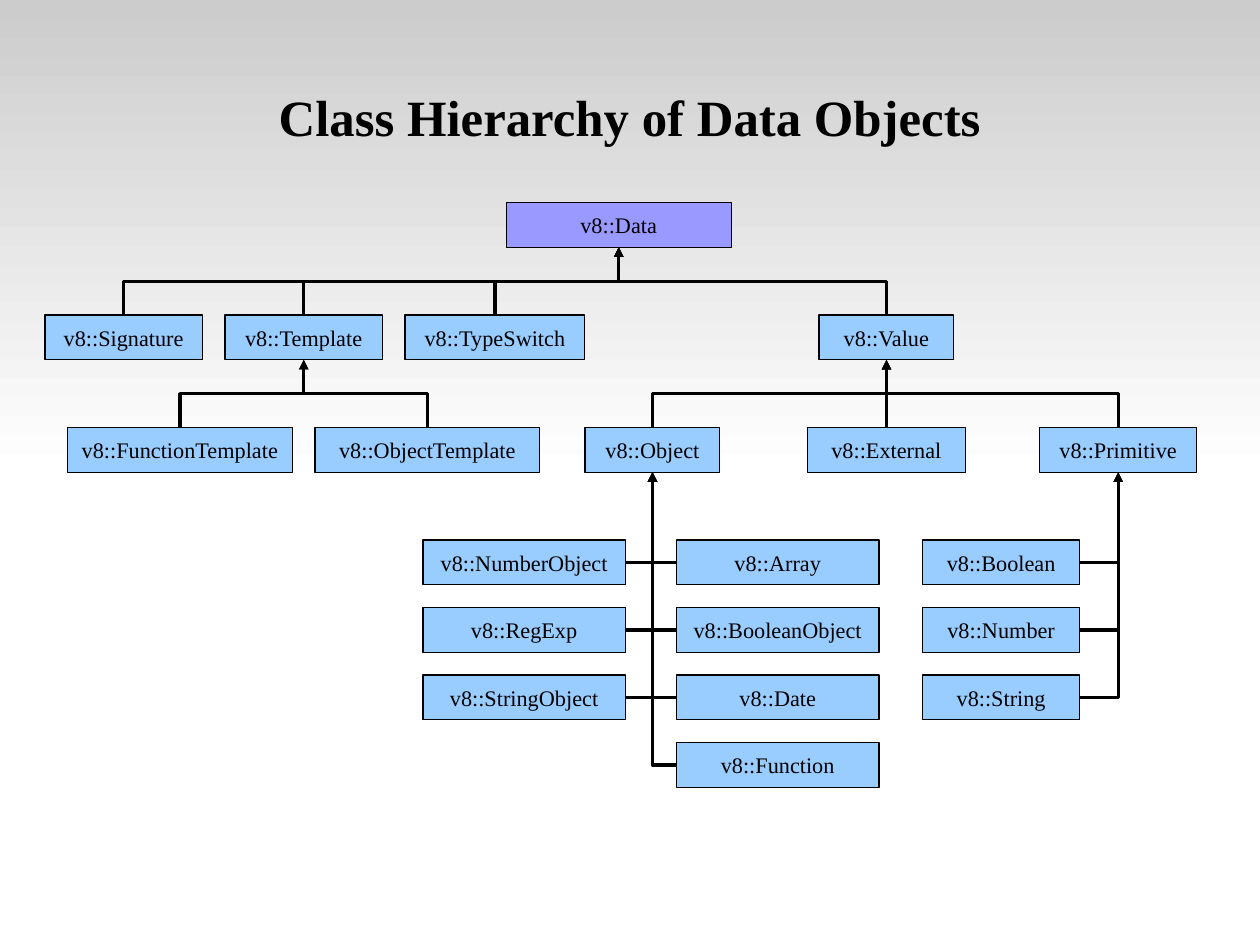
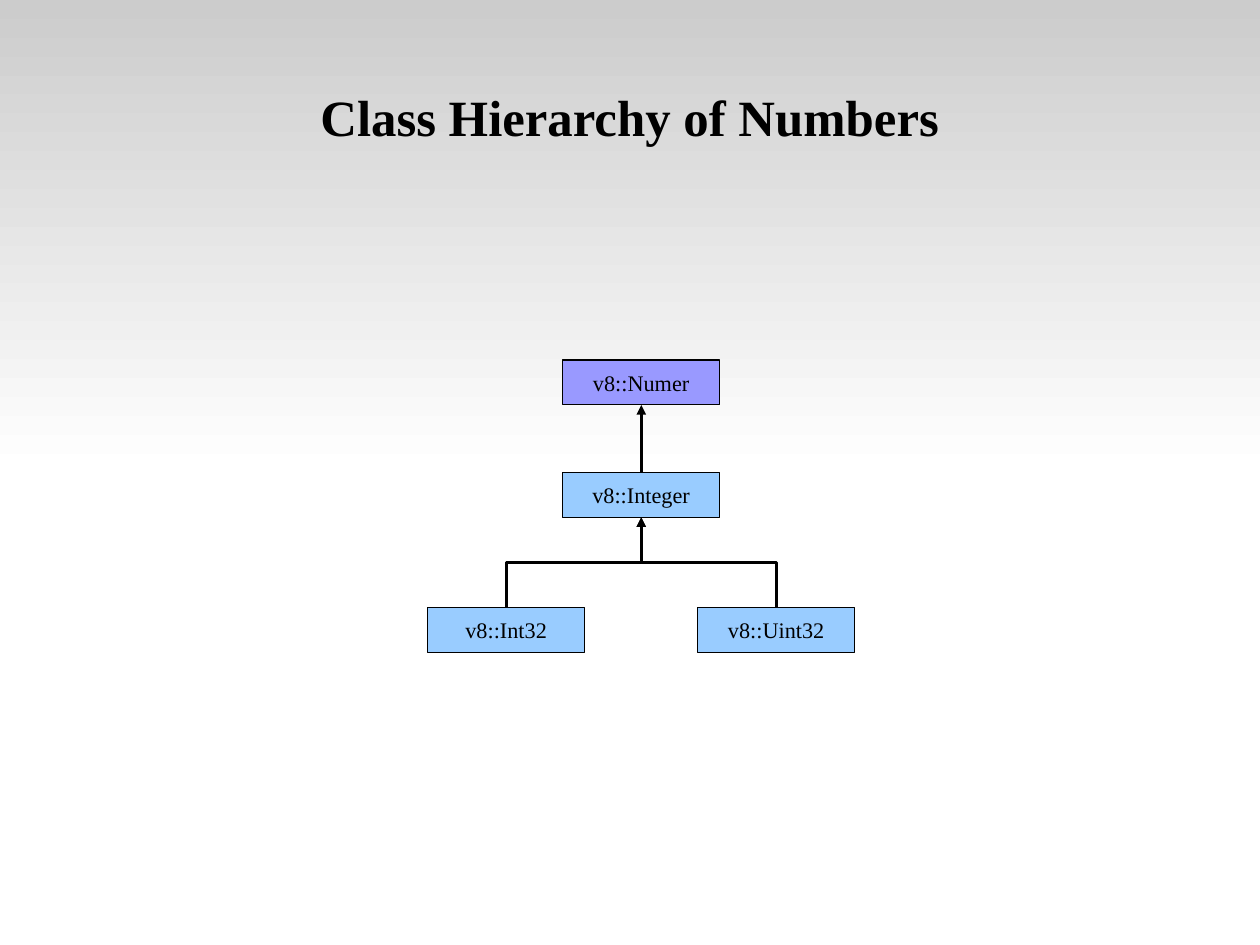
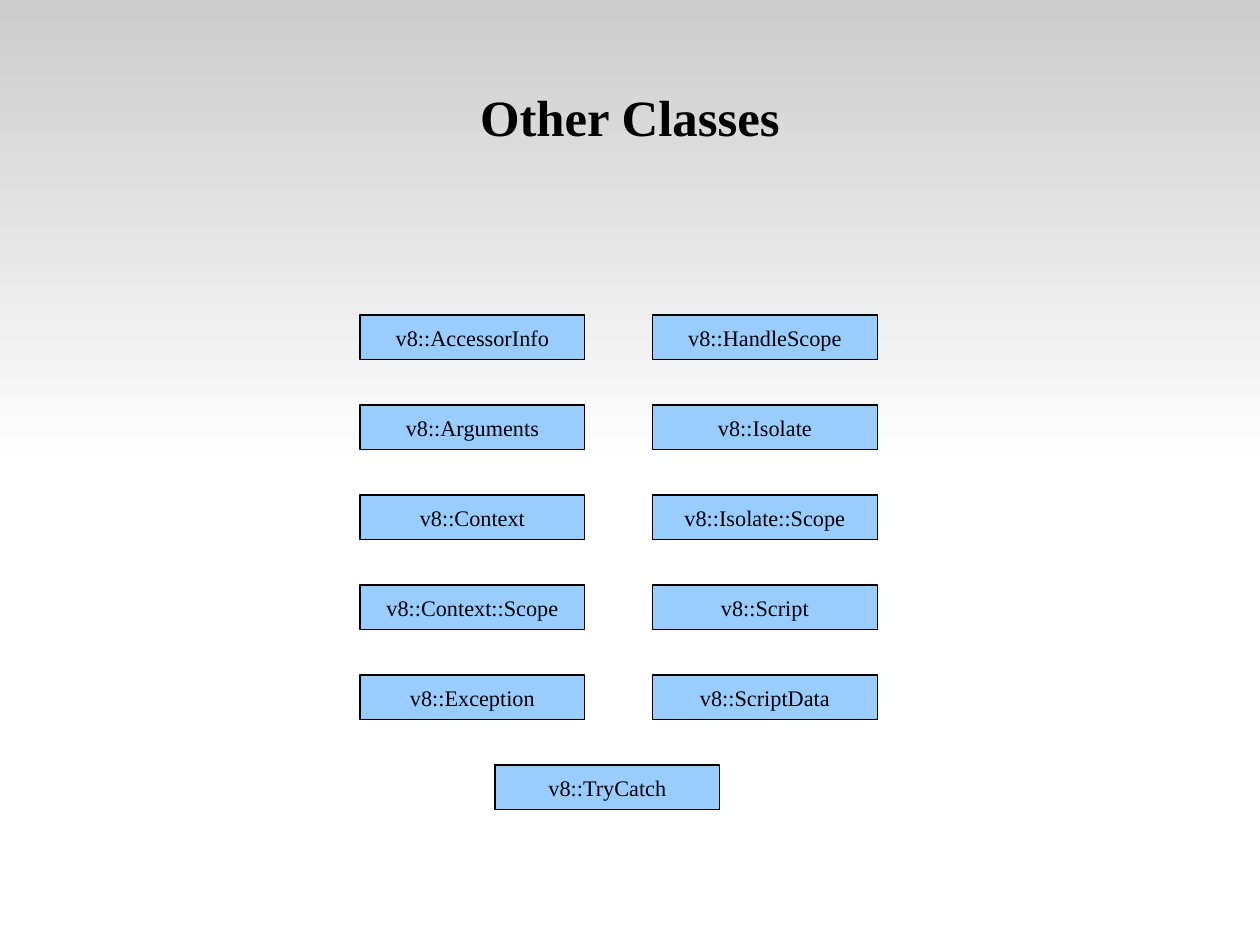
from pptx import Presentation
from pptx.dml.color import RGBColor
from pptx.enum.shapes import MSO_CONNECTOR as Wire, MSO_SHAPE as Form
from pptx.enum.text import MSO_ANCHOR as Anchor, MSO_AUTO_SIZE as Fit, PP_ALIGN as Align
from pptx.oxml.ns import qn
from pptx.util import Cm, Pt
from lxml.etree import SubElement

COLS, ROWS = 56, 42
TOP, LEFT, BASE, RIGHT = range(4)


def grid(count):
    """Turn grid steps of half a centimetre into a length."""
    return Cm(count * 0.5)


def ink(code):
    """Turn a hex string into a colour."""
    return RGBColor.from_string(code)


class Deck:
    """Hold the shared style and the current slide."""

    FONT = "Times New Roman"
    BLACK, BLUE, VIOLET = "000000", "99CCFF", "9999FF"
    FADE = "CCCCCC", "FFFFFF"

    def __init__(self):
        """Open a deck of the right size."""
        self.deck = Presentation()
        self.deck.slide_width, self.deck.slide_height = grid(COLS), grid(ROWS)
        self.slide = None

    def page(self, title):
        """Start a slide with its title."""
        first = self.slide is None
        self.slide = self.deck.slides.add_slide(self.deck.slide_layouts[5])
        if first:
            self.band()
        head = self.slide.shapes.title
        wide, high = self.deck.slide_width, self.deck.slide_height
        head.left, head.top = int(wide * 0.05), int(high * 0.04)
        head.width, head.height = int(wide * 0.9), grid(7)
        frame = head.text_frame
        frame.margin_left = frame.margin_right = 0
        frame.margin_top = frame.margin_bottom = 0
        self.label(frame, title, 32, True)

    def band(self):
        """Put the fading upper half on the master."""
        half = self.slide.shapes.add_shape(Form.RECTANGLE, 0, 0, grid(COLS), grid(ROWS / 2))
        half.shadow.inherit = False
        half.line.fill.background()
        half.fill.gradient()
        half.fill.gradient_angle = 270
        for stop, code in zip(half.fill.gradient_stops, self.FADE):
            stop.color.rgb = ink(code)
        self.deck.slide_master.shapes.element.insert(2, half.element)

    def label(self, frame, text, size, bold=False):
        """Set centred text in a frame."""
        frame.text = text
        frame.word_wrap = True
        frame.auto_size = Fit.NONE
        frame.vertical_anchor = Anchor.MIDDLE
        line = frame.paragraphs[0]
        line.alignment = Align.CENTER
        font = line.runs[0].font
        font.name, font.size, font.bold = self.FONT, Pt(size), bold
        font.color.rgb = ink(self.BLACK)

    def box(self, name, col, row, wide, fill=BLUE):
        """Draw a class box."""
        box = self.slide.shapes.add_shape(
            Form.RECTANGLE, grid(col), grid(row), grid(wide), grid(2))
        box.shadow.inherit = False
        box.fill.solid()
        box.fill.fore_color.rgb = ink(fill)
        box.line.color.rgb = ink(self.BLACK)
        box.line.width = 0
        self.label(box.text_frame, "v8::" + name, 14)
        return box

    def stack(self, names, col, row, wide, step):
        """Draw boxes one below another."""
        return [self.box(name, col, row + step * i, wide) for i, name in enumerate(names)]

    def link(self, kind, child, side, base):
        """Draw an arrow from a side of a child to the foot of its base."""
        wire = self.slide.shapes.add_connector(kind, 0, 0, 0, 0)
        wire.begin_connect(child, side)
        wire.end_connect(base, BASE)
        wire.line.color.rgb = ink(self.BLACK)
        wire.line.width = 0
        props = wire.element.spPr
        SubElement(props.find(qn("a:ln")), qn("a:tailEnd"), type="triangle")
        SubElement(props, qn("a:effectLst"))
        return wire

    def tree(self, base, *kids):
        """Link children in a row below their base."""
        for kid in kids:
            gap = base.left + base.width // 2 - kid.left - kid.width // 2
            if abs(gap) < Pt(1):
                self.link(Wire.STRAIGHT, kid, TOP, base)
                continue
            wire = self.link(Wire.ELBOW, kid, TOP, base)
            wide, high = wire.width, wire.height
            wire.left += (wide - high) // 2
            wire.top += (high - wide) // 2
            wire.width, wire.height = high, wide
            turn = wire.element.spPr.find(qn("a:xfrm"))
            turn.set("rot", str((90 if gap > 0 else 270) * 60000))
            turn.set("flipH", "1" if gap > 0 else "0")
            turn.set("flipV", "1")

    def comb(self, base, side, kids):
        """Link stacked children to a stem under their base."""
        for kid in kids:
            wire = self.link(Wire.ELBOW, kid, side, base)
            wire.element.spPr.find(qn("a:prstGeom")).set("prst", "bentConnector2")


def data(deck):
    """Build the slide of data objects."""
    deck.page("Class Hierarchy of Data Objects")
    root = deck.box("Data", 22.5, 9, 10, deck.VIOLET)
    sign = deck.box("Signature", 2, 14, 7)
    plate = deck.box("Template", 10, 14, 7)
    switch = deck.box("TypeSwitch", 18, 14, 8)
    value = deck.box("Value", 36.4, 14, 6)
    func = deck.box("FunctionTemplate", 3, 19, 10)
    form = deck.box("ObjectTemplate", 14, 19, 10)
    thing = deck.box("Object", 26, 19, 6)
    extern = deck.box("External", 35.9, 19, 7)
    prime = deck.box("Primitive", 46.2, 19, 7)
    deck.tree(root, sign, plate, switch, value)
    deck.tree(plate, func, form)
    deck.tree(value, thing, extern, prime)
    for base, side, col, wide, names in (
        (thing, RIGHT, 18.8, 9, ("NumberObject", "RegExp", "StringObject")),
        (thing, LEFT, 30.07, 9, ("Array", "BooleanObject", "Date", "Function")),
        (prime, RIGHT, 41, 7, ("Boolean", "Number", "String")),
    ):
        deck.comb(base, side, deck.stack(names, col, 24, wide, 3))


def numbers(deck):
    """Build the slide of numbers."""
    deck.page("Class Hierarchy of Numbers")
    root = deck.box("Numer", 25, 16, 7, deck.VIOLET)
    whole = deck.box("Integer", 25, 21, 7)
    deck.tree(root, whole)
    deck.tree(whole, deck.box("Int32", 19, 27, 7), deck.box("Uint32", 31, 27, 7))


def others(deck):
    """Build the slide of other classes."""
    deck.page("Other Classes")
    deck.stack(("AccessorInfo", "Arguments", "Context", "Context::Scope", "Exception"),
               16, 14, 10, 4)
    deck.stack(("HandleScope", "Isolate", "Isolate::Scope", "Script", "ScriptData"),
               29, 14, 10, 4)
    deck.box("TryCatch", 22, 34, 10)


def main():
    """Build and save the deck."""
    deck = Deck()
    for build in (data, numbers, others):
        build(deck)
    deck.deck.save("out.pptx")


if __name__ == "__main__":
    main()
